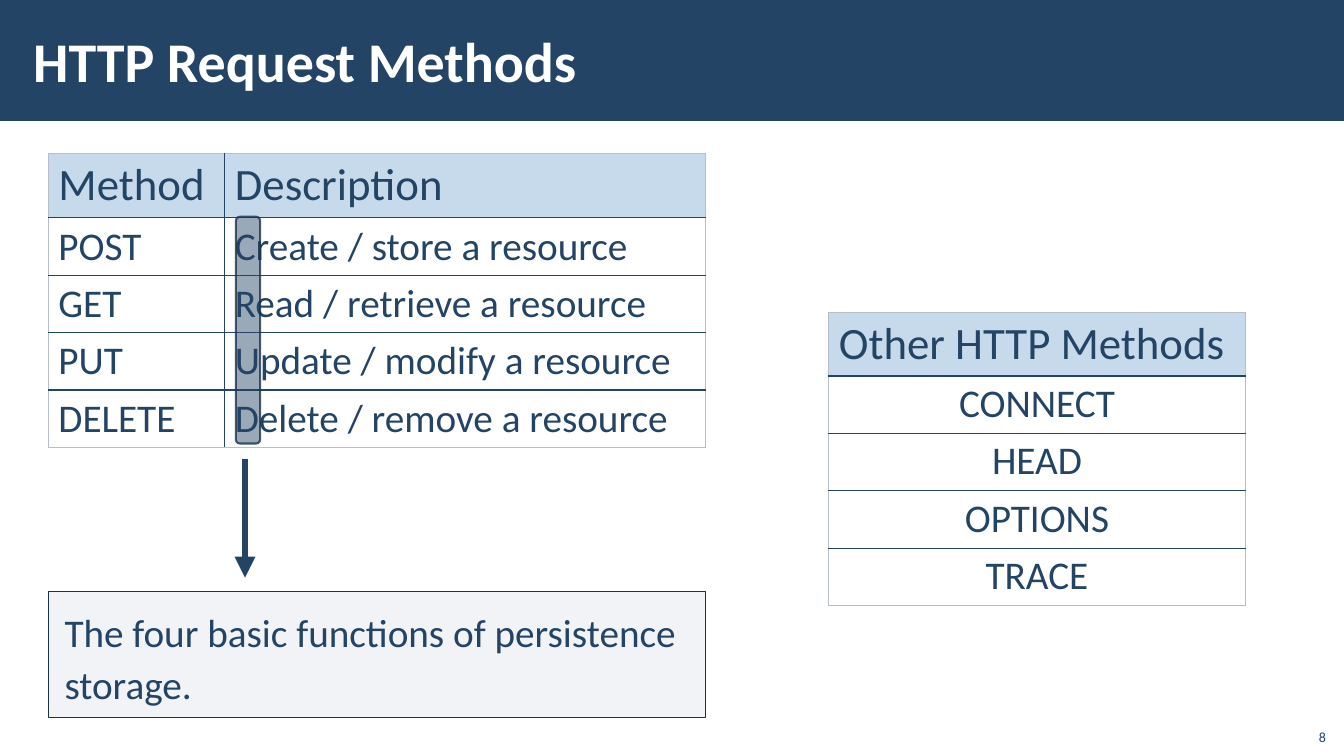
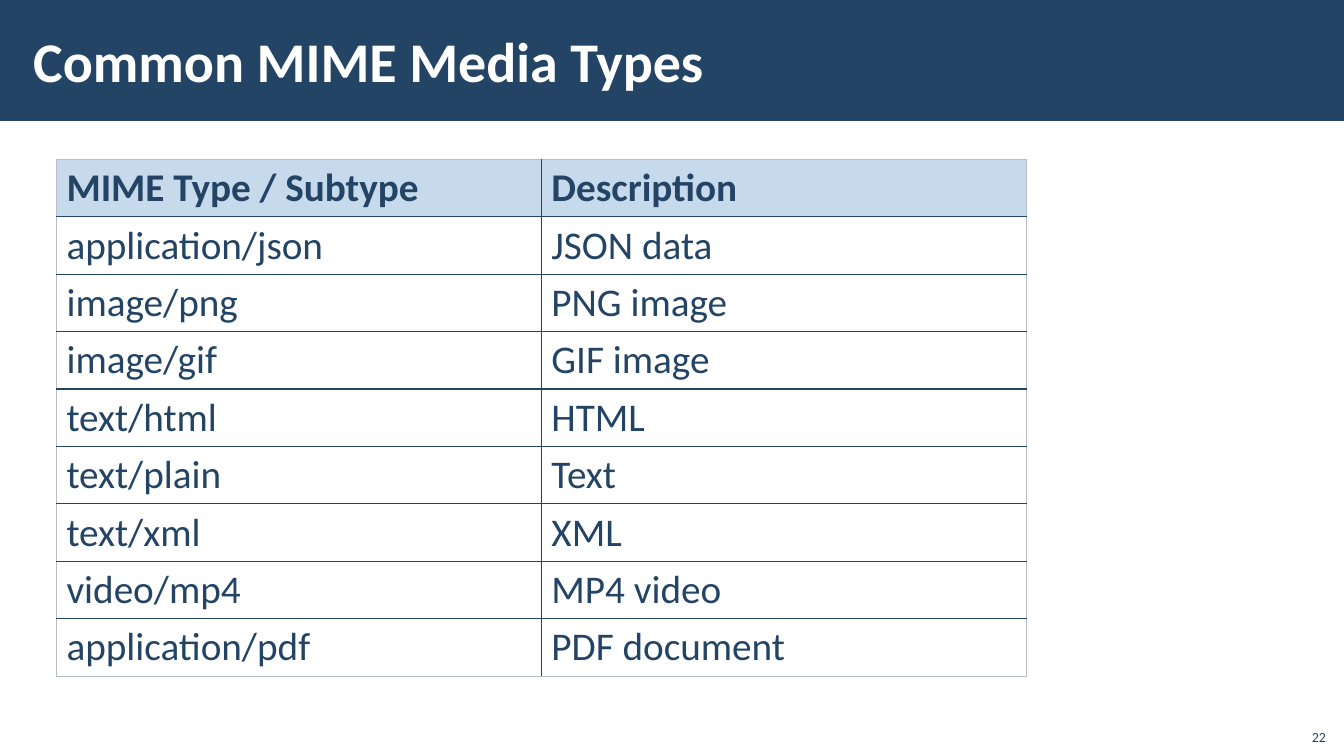
from lxml import etree
from pptx import Presentation
from pptx.dml.color import RGBColor
from pptx.enum.shapes import MSO_CONNECTOR, MSO_SHAPE
from pptx.enum.text import MSO_ANCHOR, PP_ALIGN
from pptx.oxml.ns import qn
from pptx.util import Pt

RECT, ROUND = MSO_SHAPE.RECTANGLE, MSO_SHAPE.ROUNDED_RECTANGLE
LINE = MSO_CONNECTOR.STRAIGHT
TOP, MIDDLE, BOTTOM = MSO_ANCHOR.TOP, MSO_ANCHOR.MIDDLE, MSO_ANCHOR.BOTTOM
LEFT, CENTER, RIGHT = PP_ALIGN.LEFT, PP_ALIGN.CENTER, PP_ALIGN.RIGHT

NAVY, DARK, SKY, SLATE = "234465", "1A334C", "C7DAEC", "ADB4C3"
PALE, WHITE = "B8BEC8", "FFFFFF"
FACE = "Calibri"
SCALE = 9144


def px(size):
    return size * SCALE


def color(code):
    return RGBColor.from_string(code)


def assign(target, values):
    for name, value in values.items():
        setattr(target, name, value)


class Deck:
    def __init__(self, width, height):
        self.file = Presentation()
        assign(self.file, {"slide_width": px(width), "slide_height": px(height)})
        self.width = width
        self.slide = None

    def page(self, title, number):
        self.slide = self.file.slides.add_slide(self.file.slide_layouts[6])
        self.shape(RECT, (0, 0, self.width, 120), NAVY)
        self.label(title, (21, 11, 1063, 97), (12, 4), MIDDLE,
                   size=40, bold=True, ink=WHITE)
        self.label(str(number), (1285, 712, 40, 32), (10, 5), BOTTOM,
                   size=10, align=RIGHT)

    def text(self, frame, words, size=28, bold=False, ink=NAVY, align=LEFT, space=1.0):
        para = frame.paragraphs[0]
        assign(para, {"alignment": align, "line_spacing": space})
        run = para.add_run()
        run.text = words
        assign(run.font, {"name": FACE, "size": Pt(size), "bold": bold})
        run.font.color.rgb = color(ink)

    def fit(self, frame, inset, anchor):
        side, end = map(px, inset)
        assign(frame, {"margin_left": side, "margin_right": side,
                       "margin_top": end, "margin_bottom": end,
                       "vertical_anchor": anchor, "word_wrap": True})

    def label(self, words, box, inset, anchor, **style):
        frame = self.slide.shapes.add_textbox(*map(px, box)).text_frame
        self.fit(frame, inset, anchor)
        self.text(frame, words, **style)

    def shape(self, kind, box, fill, edge=None, weight=1, alphas=()):
        shape = self.slide.shapes.add_shape(kind, *map(px, box))
        shape.shadow.inherit = False
        shape.fill.solid()
        shape.fill.fore_color.rgb = color(fill)
        if edge:
            shape.line.color.rgb = color(edge)
            shape.line.width = Pt(weight)
        else:
            shape.line.fill.background()
        tints = shape.element.spPr.iter(qn("a:srgbClr"))
        for tint, alpha in zip(list(tints), alphas):
            etree.SubElement(tint, qn("a:alpha"), val=str(alpha * 1000))
        return shape

    def note(self, words, box):
        shape = self.shape(RECT, box, SLATE, DARK, alphas=(15,))
        self.fit(shape.text_frame, (16, 12), TOP)
        self.text(shape.text_frame, words, space=1.1)

    def arrow(self, start, end, weight):
        link = self.slide.shapes.add_connector(LINE, *map(px, start + end))
        link.line.color.rgb = color(NAVY)
        link.line.width = Pt(weight)
        props = link.element.spPr
        etree.SubElement(props.find(qn("a:ln")), qn("a:tailEnd"), type="triangle")
        etree.SubElement(props, qn("a:effectLst"))

    def border(self, cell, outer):
        props = cell._tc.get_or_add_tcPr()
        for spot, (side, out) in enumerate(zip("LRTB", outer)):
            edge = etree.Element(qn("a:ln" + side), w=str(int(Pt(0.5 if out else 1))))
            fill = etree.SubElement(edge, qn("a:solidFill"))
            etree.SubElement(fill, qn("a:srgbClr"), val=PALE if out else NAVY)
            props.insert(spot, edge)

    def table(self, spot, widths, heights, rows, head, align=LEFT, pad=5):
        tall, wide = len(rows), len(widths)
        sizes = [heights[0]] + [heights[1]] * (tall - 1)
        box = spot + (sum(widths), sum(sizes))
        grid = self.slide.shapes.add_table(tall, wide, *map(px, box)).table
        assign(grid, {"first_row": False, "horz_banding": False})
        for col, width in zip(grid.columns, widths):
            col.width = px(width)
        for r, (row, size) in enumerate(zip(rows, sizes)):
            grid.rows[r].height = px(size)
            for c, words in enumerate(row):
                cell = grid.cell(r, c)
                assign(cell, {"margin_top": px(pad), "margin_bottom": px(pad)})
                if r == 0:
                    cell.fill.solid()
                    cell.fill.fore_color.rgb = color(SKY)
                    self.text(cell.text_frame, words, **head)
                else:
                    cell.fill.background()
                    self.text(cell.text_frame, words, align=align)
                self.border(cell, (c == 0, c == wide - 1, r == 0, r == tall - 1))


deck = Deck(1333, 750)

deck.page("HTTP Request Methods", 8)
deck.table((48, 152), (175, 477), (64, 57), [
    ("Method", "Description"),
    ("POST", "Create / store a resource"),
    ("GET", "Read / retrieve a resource"),
    ("PUT", "Update / modify a resource"),
    ("DELETE", "Delete / remove a resource"),
], {"size": 32})
deck.shape(ROUND, (234, 215, 24, 225), NAVY, DARK, 1.5, (46, 80))
deck.arrow((243, 455), (243, 573), 5)
deck.note("The four basic functions of persistence storage.", (48, 587, 652, 125))
deck.table((822, 310), (413,), (63, 57), [
    ("Other HTTP Methods",), ("CONNECT",), ("HEAD",), ("OPTIONS",), ("TRACE",),
], {"size": 32}, CENTER, 4)

deck.page("Common MIME Media Types", 22)
deck.table((56, 158), (481, 481), (57, 57), [
    ("MIME Type / Subtype", "Description"),
    ("application/json", "JSON data"),
    ("image/png", "PNG image"),
    ("image/gif", "GIF image"),
    ("text/html", "HTML"),
    ("text/plain", "Text"),
    ("text/xml", "XML"),
    ("video/mp4", "MP4 video"),
    ("application/pdf", "PDF document"),
], {"bold": True})

deck.file.save("out.pptx")
